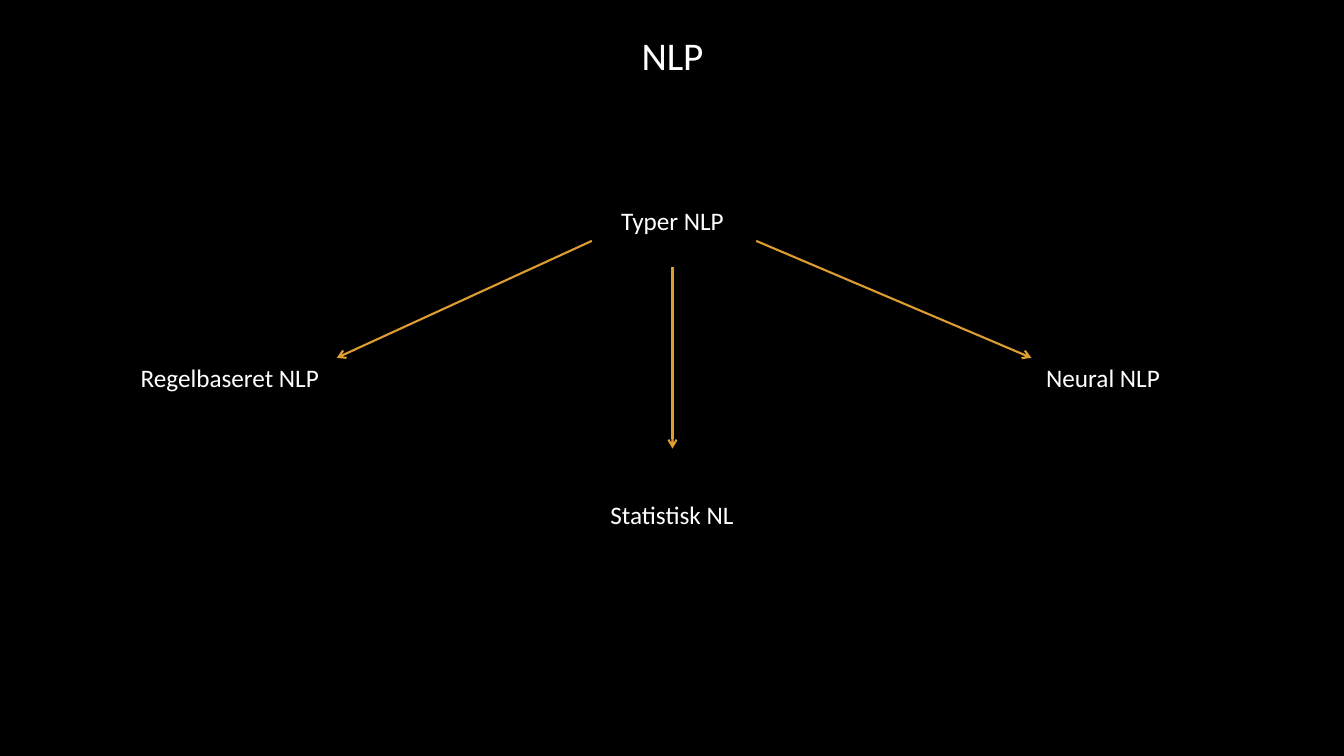
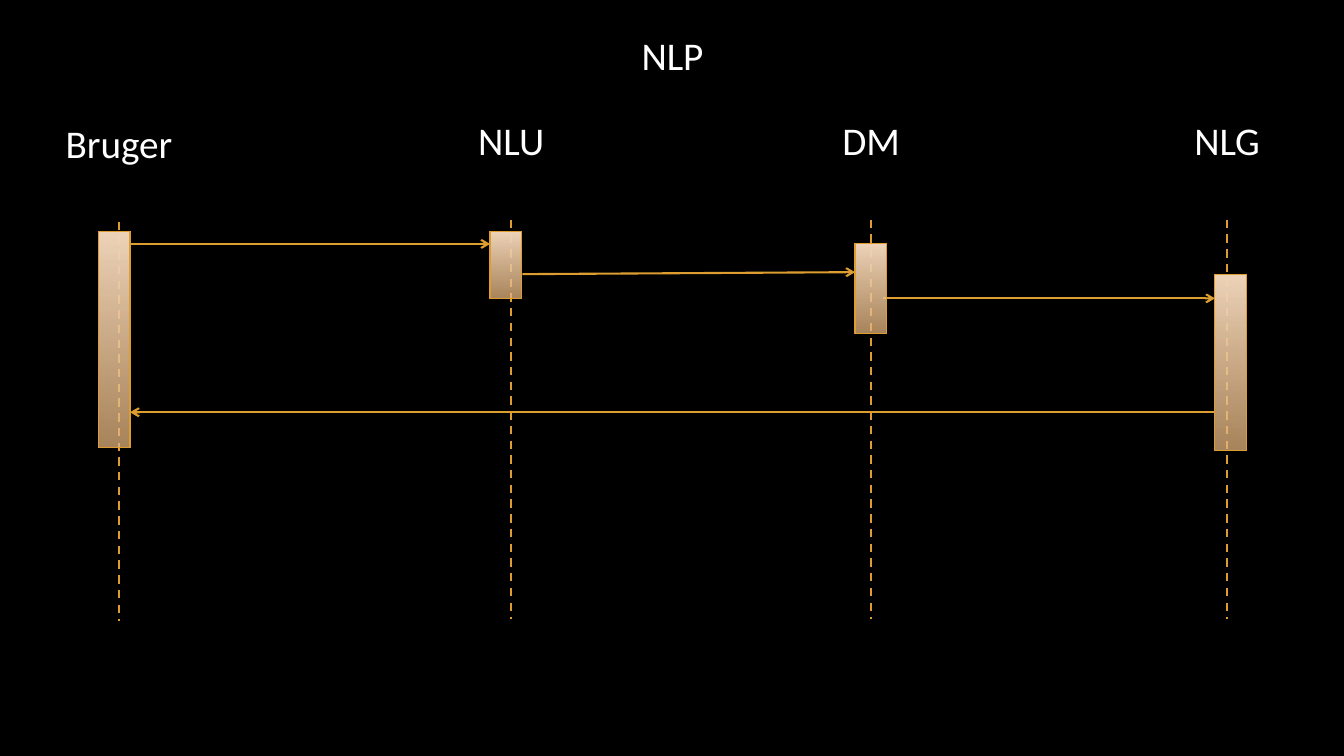
import pptx
import pptx.dml.color
import pptx.enum.dml
import pptx.enum.shapes
import pptx.enum.text
import pptx.oxml
import pptx.oxml.ns
import pptx.util

Inches = pptx.util.Inches
Pt = pptx.util.Pt
RGBColor = pptx.dml.color.RGBColor

BLACK = RGBColor(0x00, 0x00, 0x00)
WHITE = RGBColor(0xFF, 0xFF, 0xFF)
GOLD = RGBColor(0xDD, 0x9D, 0x31)
SAND = RGBColor(0xEF, 0xD5, 0xBA)
TAN = RGBColor(0xE4, 0xB4, 0x7E)
FONT = "Calibri"
HEADING_SIZE = 28
LABEL_SIZE = 18
HEADING_HEIGHT = 0.57
LIFELINE_LENGTH = 3.96
BAR_WIDTH = 0.31


def append_element(parent, tag, **attributes):
    element = pptx.oxml.parse_xml(f"<a:{tag} {pptx.oxml.ns.nsdecls('a')}/>")
    for name, value in attributes.items():
        element.set(name, value)
    parent.append(element)


def place(shape, left, top, width, height):
    shape.left, shape.top = Inches(left), Inches(top)
    shape.width, shape.height = Inches(width), Inches(height)


def write_text(shape, text, size):
    shape.text_frame.text = text
    shape.text_frame.word_wrap = True
    paragraph = shape.text_frame.paragraphs[0]
    paragraph.alignment = pptx.enum.text.PP_ALIGN.CENTER
    font = paragraph.runs[0].font
    font.name = FONT
    font.size = Pt(size)
    font.color.rgb = WHITE


def prepare_template(presentation):
    fill = presentation.slide_master.background.fill
    fill.solid()
    fill.fore_color.rgb = BLACK
    layout = presentation.slide_layouts.get_by_name("Title Only")
    place(layout.placeholders[0], 6.13, 0.26, 1.08, HEADING_HEIGHT)
    return layout


def add_slide(presentation, layout, title):
    slide = presentation.slides.add_slide(layout)
    write_text(slide.shapes.title, title, HEADING_SIZE)
    return slide


def add_label(slide, text, left, top, width, height, size):
    label = slide.shapes.add_textbox(
        Inches(left), Inches(top), Inches(width), Inches(height))
    write_text(label, text, size)


def add_line(slide, start, end):
    line = slide.shapes.add_connector(
        pptx.enum.shapes.MSO_CONNECTOR.STRAIGHT,
        *(Inches(value) for value in (*start, *end)))
    line.line.color.rgb = GOLD
    line.line.width = Pt(1.5)
    append_element(line._element.spPr, "effectLst")
    return line


def add_arrow(slide, start, end):
    arrow = add_line(slide, start, end)
    append_element(arrow.line._get_or_add_ln(), "tailEnd", type="arrow")


def add_lifeline(slide, x, top):
    lifeline = add_line(slide, (x, top), (x, top + LIFELINE_LENGTH))
    lifeline.line.dash_style = pptx.enum.dml.MSO_LINE.DASH


def add_activation_bar(slide, left, top, height):
    bar = slide.shapes.add_shape(
        pptx.enum.shapes.MSO_SHAPE.RECTANGLE,
        Inches(left), Inches(top), Inches(BAR_WIDTH), Inches(height))
    bar.shadow.inherit = False
    bar.fill.gradient()
    bar.fill.gradient_angle = 270
    stops = bar.fill.gradient_stops
    for stop, color, position in zip(stops, (SAND, TAN), (0, 1)):
        stop.color.rgb = color
        stop.position = position
    append_element(stops[1]._gs.find(pptx.oxml.ns.qn("a:srgbClr")), "alpha", val="74000")
    bar.line.color.rgb = GOLD
    bar.line.width = Pt(0.75)


def build_types_slide(slide):
    for text, left, top, width in (
        ("Typer NLP", 4.07, 1.99, 5.2),
        ("Regelbaseret NLP", 0.78, 3.55, 3),
        ("Statistisk NL", 4.83, 4.9, 3.67),
        ("Neural NLP", 9.55, 3.55, 2.78),
    ):
        add_label(slide, text, left, top, width, 0.4, LABEL_SIZE)
    for start, end in (
        ((5.87, 2.39), (3.34, 3.55)),
        ((6.67, 2.65), (6.67, 4.45)),
        ((7.5, 2.39), (10.23, 3.55)),
    ):
        add_arrow(slide, start, end)


def build_sequence_slide(slide):
    for name, x, label_top, label_width, line_top in (
        ("Bruger", 1.18, 1.13, 1.31, 2.2),
        ("NLU", 5.07, 1.1, 1.08, 2.18),
        ("DM", 8.64, 1.1, 1.08, 2.18),
        ("NLG", 12.17, 1.1, 1.08, 2.18),
    ):
        add_label(slide, name, x - label_width / 2, label_top,
                  label_width, HEADING_HEIGHT, HEADING_SIZE)
        add_lifeline(slide, x, line_top)
    for start, end in (
        ((1.29, 2.42), (4.86, 2.42)),
        ((5.18, 2.72), (8.48, 2.7)),
        ((8.76, 2.96), (12.05, 2.96)),
        ((12.05, 4.09), (1.29, 4.09)),
    ):
        add_arrow(slide, start, end)
    for left, top, height in (
        (0.98, 2.3, 2.14),
        (4.86, 2.3, 0.66),
        (8.48, 2.42, 0.89),
        (12.05, 2.72, 1.75),
    ):
        add_activation_bar(slide, left, top, height)


def main():
    presentation = pptx.Presentation()
    presentation.slide_width = Inches(13.33)
    presentation.slide_height = Inches(7.5)
    layout = prepare_template(presentation)
    for build in (build_types_slide, build_sequence_slide):
        build(add_slide(presentation, layout, "NLP"))
    presentation.save("out.pptx")


if __name__ == "__main__":
    main()
